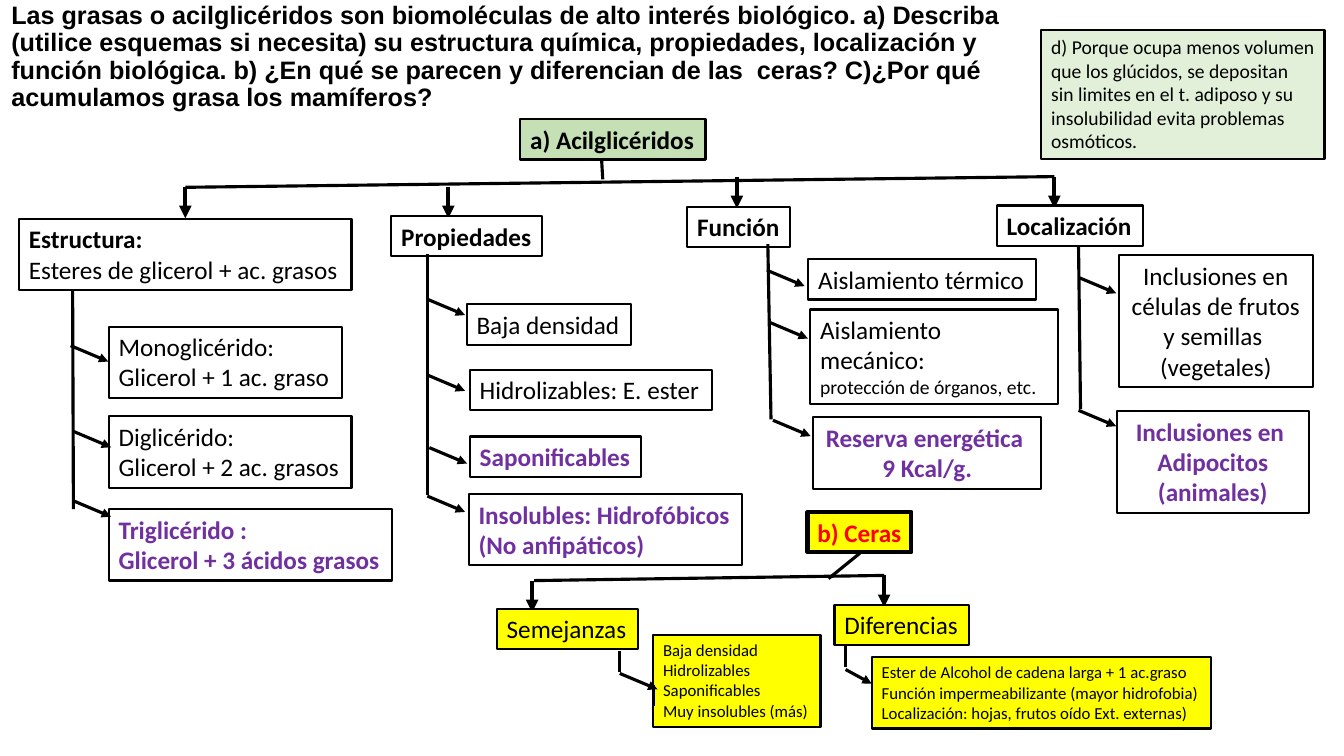
from lxml import etree
from pptx import Presentation
from pptx.dml.color import RGBColor
from pptx.enum.shapes import MSO_CONNECTOR
from pptx.enum.text import MSO_ANCHOR, MSO_AUTO_SIZE, PP_ALIGN
from pptx.oxml.ns import qn
from pptx.util import Cm, Pt

STRAIGHT = MSO_CONNECTOR.STRAIGHT
TOP, MIDDLE = MSO_ANCHOR.TOP, MSO_ANCHOR.MIDDLE
GROW, NO_FIT = MSO_AUTO_SIZE.SHAPE_TO_FIT_TEXT, MSO_AUTO_SIZE.NONE
LEFT, CENTER = PP_ALIGN.LEFT, PP_ALIGN.CENTER

BLACK = RGBColor(0x00, 0x00, 0x00)
WHITE = RGBColor(0xFF, 0xFF, 0xFF)
PURPLE = RGBColor(0x70, 0x30, 0xA0)
RED = RGBColor(0xFF, 0x00, 0x00)
YELLOW = RGBColor(0xFF, 0xFF, 0x00)
GREEN = RGBColor(0xC5, 0xE0, 0xB4)
PALE_GREEN = RGBColor(0xE2, 0xF0, 0xD9)

PLAIN = {"name": "Calibri", "size": Pt(18), "bold": False, "color": BLACK}
BOLD = {**PLAIN, "bold": True}
KEY = {**BOLD, "color": PURPLE}
ALERT = {**BOLD, "color": RED}
NOTE = {**PLAIN, "size": Pt(14)}
DETAIL = {**PLAIN, "size": Pt(12)}
TITLE = {**BOLD, "name": "Arial"}

ROW, PAIR = 1.02, 1.8
REACH = (0.95, 0.4)
DROP = 0.8


def shift(box, point):
    """Move a point given from the corner of a box to the slide."""
    return box[0] + point[0], box[1] + point[1]


def format_font(font, values):
    """Apply a dict of format values to a font."""
    for name, value in values.items():
        if name == "color":
            font.color.rgb = value
        else:
            setattr(font, name, value)


def add_title(slide, box, text):
    """Move, fill and format the title placeholder."""
    shape = slide.shapes.title
    shape.left, shape.top, shape.width, shape.height = map(Cm, box)
    frame = shape.text_frame
    frame.text = text
    for name, value in {"word_wrap": True, "auto_size": NO_FIT,
                        "vertical_anchor": MIDDLE}.items():
        setattr(frame, name, value)
    paragraph = frame.paragraphs[0]
    paragraph.alignment, paragraph.line_spacing = LEFT, 0.9
    format_font(paragraph.runs[0].font, TITLE)


def add_box(slide, box, lines, fill=WHITE, wrap=False, alignment=LEFT, border=1.5):
    """Add a bordered box with one paragraph for each line."""
    shape = slide.shapes.add_textbox(*map(Cm, box))
    shape.fill.solid()
    shape.fill.fore_color.rgb = fill
    shape.line.color.rgb = BLACK
    shape.line.width = Pt(border)
    frame = shape.text_frame
    for name, value in {"word_wrap": wrap, "auto_size": GROW,
                        "vertical_anchor": TOP}.items():
        setattr(frame, name, value)
    for index, (text, style) in enumerate(lines):
        paragraph = frame.add_paragraph() if index else frame.paragraphs[0]
        paragraph.alignment = alignment
        run = paragraph.add_run()
        run.text = text
        format_font(run.font, style)


def add_line(slide, start, end, width=2.25, arrow=False):
    """Add a black straight line, with an arrowhead at its end if asked."""
    connector = slide.shapes.add_connector(STRAIGHT, *map(Cm, (*start, *end)))
    connector.line.color.rgb = BLACK
    connector.line.width = Pt(width)
    if arrow:
        outline = connector.line._get_or_add_ln()
        etree.SubElement(outline, qn("a:tailEnd"), type="triangle")
    etree.SubElement(connector._element.spPr, qn("a:effectLst"))


def add_root(slide, box, lines, stem, bar, drops, **options):
    """Add a root box with the bar and arrows that lead to its branches."""
    add_box(slide, box, lines, **options)
    for start, end in (stem, bar):
        add_line(slide, shift(box, start), shift(box, end))
    for drop in drops:
        start = shift(box, drop)
        add_line(slide, start, shift(start, (0, DROP)), 3, True)


def add_branch(slide, box, lines, stem, twigs, leaves, fill=WHITE, reach=REACH):
    """Add a heading, its leaves, and the stem and arrows that join them."""
    add_box(slide, box, lines, fill)
    for position, size, leaf_lines, options in leaves:
        add_box(slide, (*shift(box, position), *size), leaf_lines, fill, **options)
    add_line(slide, shift(box, stem[0]), shift(box, stem[1]))
    for twig in twigs:
        start = shift(box, twig)
        add_line(slide, start, shift(start, reach), arrow=True)


def add_fats(slide):
    """Add the tree of acylglycerides."""
    centred = {"wrap": True, "alignment": CENTER}
    add_root(slide, (13.11, 3, 4.67, ROW), [("a) Acilglicéridos", BOLD)],
             ((2.05, 1.01), (2.08, 1.52)), ((13.46, 1.45), (-8.44, 1.72)),
             [(-8.44, 1.7), (-1.81, 1.7), (5.46, 1.45), (13.46, 1.45)], fill=GREEN)
    add_branch(
        slide, (0.48, 5.51, 8.38, PAIR),
        [("Estructura:", BOLD), ("Esteres de glicerol + ac. grasos", PLAIN)],
        ((1.35, 1.78), (1.37, 7.32)), [(1.3, 3.2), (1.37, 5.36), (1.37, 7.11)],
        [((2.26, 2.72), (5.89, PAIR),
          [("Monoglicérido:", PLAIN), ("Glicerol + 1 ac. graso", PLAIN)], {}),
         ((2.26, 4.98), (6.12, PAIR),
          [("Diglicérido:", PLAIN), ("Glicerol + 2 ac. grasos", PLAIN)], {}),
         ((2.26, 7.32), (7.14, PAIR),
          [("Triglicérido :", KEY), ("Glicerol + 3 ácidos grasos", KEY)], {})])
    add_branch(
        slide, (9.86, 5.44, 3.81, ROW), [("Propiedades", BOLD)],
        ((0.91, 0.96), (0.91, 7.03)),
        [(0.91, 2.1), (0.91, 4.01), (0.96, 5.84), (0.91, 7.06)],
        [((1.9, 2.23), (4.14, ROW), [("Baja densidad", PLAIN)], {}),
         ((1.98, 3.88), (6.1, ROW), [("Hidrolizables: E. ester", PLAIN)], {}),
         ((1.98, 5.56), (4.32, ROW), [("Saponificables", KEY)], {}),
         ((1.95, 7.01), (6.88, PAIR),
          [("Insolubles: Hidrofóbicos", KEY), ("(No anfipáticos)", KEY)], {})])
    add_branch(
        slide, (17.32, 5.21, 2.59, ROW), [("Función", BOLD)],
        ((2.03, 0.94), (2.11, 5.36)), [(2.01, 1.6), (2.09, 2.92), (2.16, 5.38)],
        [((3.05, 1.32), (5.74, ROW), [("Aislamiento térmico", PLAIN)], {}),
         ((3.1, 2.59), (6.25, 2.39),
          [("Aislamiento mecánico:", PLAIN), ("protección de órganos, etc.", NOTE)],
          {"wrap": True}),
         ((3.18, 5.31), (5.74, PAIR),
          [("Reserva energética ", KEY), ("9 Kcal/g.", KEY)], centred)])
    add_branch(
        slide, (25.12, 5.18, 3.68, ROW), [("Localización", BOLD)],
        ((2.06, 1.02), (2.11, 5.13)), [(2.06, 1.81), (2.06, 5.16)],
        [((3.07, 1.25), (4.9, 3.33),
          [("Inclusiones en células de frutos y semillas ", PLAIN),
           ("(vegetales)", PLAIN)], centred),
         ((3.02, 5.18), (4.85, 2.57),
          [("Inclusiones en ", KEY), ("Adipocitos (animales)", KEY)], centred)])


def add_waxes(slide):
    """Add the tree of waxes."""
    add_root(slide, (20.35, 12.9, 2.62, ROW), [("b) Ceras", ALERT)],
             ((1.32, 1.04), (0.53, 1.68)), ((1.93, 1.6), (-6.89, 1.73)),
             [(-6.94, 1.73), (1.93, 1.6)], fill=YELLOW, border=3)
    similarities = ("Baja densidad", "Hidrolizables", "Saponificables",
                    "Muy insolubles (más)")
    differences = ("Ester de Alcohol de cadena larga + 1 ac.graso",
                   "Función impermeabilizante (mayor hidrofobia)",
                   "Localización: hojas, frutos oído Ext. externas)")
    add_branch(
        slide, (12.52, 15.34, 3.56, ROW), [("Semejanzas", PLAIN)],
        ((3.1, 1.07), (3.1, 1.6)), [(3.1, 1.63)],
        [((3.94, 0.66), (4.22, 2.31), [(text, DETAIL) for text in similarities], {})],
        YELLOW)
    add_line(slide, (16.46, 17.25), (16.46, 17.78))
    add_branch(
        slide, (21.03, 15.24, 3.4, ROW), [("Diferencias", PLAIN)],
        ((0.28, 1.02), (0.28, 1.57)), [(0.28, 1.63)],
        [((0.94, 1.32), (8.56, PAIR), [(text, DETAIL) for text in differences], {})],
        YELLOW, (0.66, 0.36))


def main():
    """Build the slide and save it."""
    presentation = Presentation()
    presentation.slide_width, presentation.slide_height = Cm(33.87), Cm(19.05)
    slide = presentation.slides.add_slide(presentation.slide_layouts[5])
    add_title(slide, (0.03, 0.2, 25.58, 2.49),
              "Las grasas o acilglicéridos son biomoléculas de alto interés biológico. "
              "a) Describa (utilice esquemas si necesita) su estructura química, "
              "propiedades, localización y función biológica. b) ¿En qué se parecen y "
              "diferencian de las  ceras? C)¿Por qué acumulamos grasa los mamíferos?")
    add_fats(slide)
    add_waxes(slide)
    add_box(slide, (26.24, 0.76, 7.14, 3.25),
            [("d) Porque ocupa menos volumen que los glúcidos, se depositan sin "
              "limites en el t. adiposo y su insolubilidad evita problemas "
              "osmóticos.", NOTE)], PALE_GREEN, True)
    presentation.save("out.pptx")


if __name__ == "__main__":
    main()
